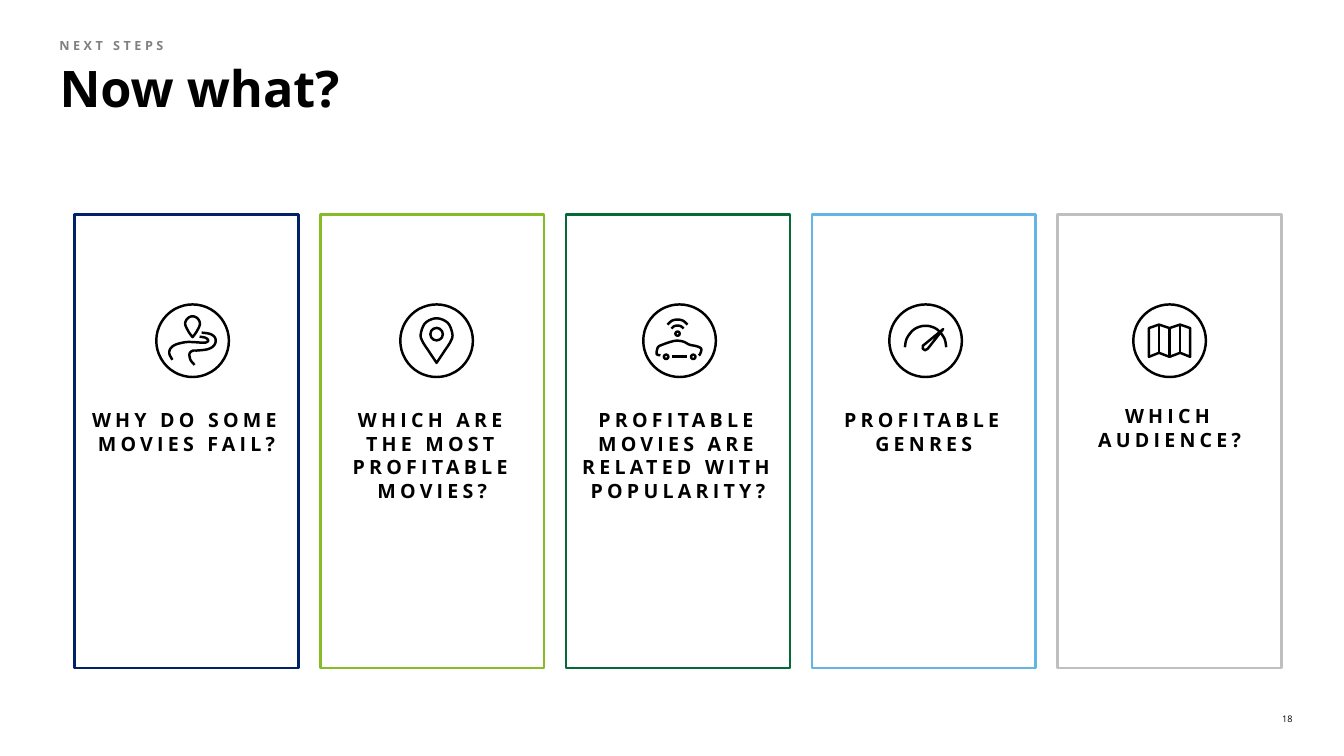
from dataclasses import dataclass

from lxml import etree
from pptx import Presentation
from pptx.dml.color import RGBColor
from pptx.enum import shapes, text
from pptx.oxml import ns
from pptx.util import Inches, Pt


@dataclass(frozen=True)
class Theme:
    font: str = "Open Sans"
    ink: str = "000000"
    muted: str = "808080"
    navy: str = "012169"
    lime: str = "86BC25"
    green: str = "046A38"
    sky: str = "62B5E5"
    silver: str = "BFBFBF"
    title: float = 36
    card: float = 14
    eyebrow: float = 9
    number: float = 6.5
    line: float = 1.75


THEME = Theme()
CARD_LEFT, CARD_TOP, CARD_WIDTH, CARD_HEIGHT = 0.74, 2.13, 2.22, 4.5
CARD_PITCH = (10.49 - CARD_LEFT) / 4
ICON_Y, ICON_RADIUS = 3.38, 0.36


def mirror(half):
    """Complete a left-right symmetric outline whose last point is on the axis."""
    return half + [(-x, y) for x, y in reversed(half[:-1])]


# Icon points are hundredths of an inch from the icon's centre.
# "dots" are (x, y, radius); "curves" are smoothed; "lines" stay straight.
ROAD = {
    "curves": [
        mirror([(0, -3.5), (4, -9), (7.3, -16.5), (5, -22), (0, -24.2)]),
        [(7, -4), (13, -2.8), (15.5, 0), (12, 2), (2, 1.5), (-7, 1.5),
         (-17, 4), (-22, 8), (-23, 13), (-20, 19)],
        [(9, -8), (17, -6.8), (22, -3.5), (22.8, 1.5), (20, 6), (14, 8.7),
         (5, 9.7), (0, 10), (-3, 13), (-2, 19), (2, 24)],
    ],
}
PIN = {
    "dots": [(0, -6.5, 6.2)],
    "curves": [mirror([(0, 22), (7, 11.5), (13.8, 1), (15.7, -6.5),
                       (11.1, -17.6), (0, -22.2)])],
}
CAR = {
    "dots": [(-13.3, 16, 2.2), (13.6, 16, 2.2), (-2, -7, 2.1)],
    "curves": [
        [(-12, -16), (-7.5, -19.8), (-2, -21), (3.5, -19.8), (8, -16)],
        [(-8, -12), (-5.5, -14.2), (-2, -15), (1.5, -14.2), (4, -12)],
        [(-19, 14.5), (-22.5, 13.5), (-22.5, 10), (-21, 6), (-17, 4),
         (-10, 1.5), (-3, 0), (4, 1), (10, 4), (17, 5.5), (21.5, 8),
         (20.5, 13), (19, 14.5)],
    ],
    "lines": [[(-7.5, 15.5), (7.5, 15.5)]],
}
GAUGE = {
    "curves": [mirror([(-20.5, 6.5), (-18.5, -2.5), (-11, -11.5), (0, -14.8)])],
    "lines": [[(17.5, -11.5), (2.2, 8), (-0.5, 9.5), (-2.8, 8), (-2.6, 5),
               (17.5, -11.5)]],
}
MAP = {
    "lines": [
        [(-20.5, -12.5), (-10.5, -16), (0, -12.5), (10.5, -16), (20.5, -12.5),
         (20.5, 16), (10.5, 12), (0, 16), (-10.5, 12), (-20.5, 16),
         (-20.5, -12.5)],
        [(-10.5, -16), (-10.5, 12)],
        [(0, -12.5), (0, 16)],
        [(10.5, -16), (10.5, 12)],
    ],
}

# Colour, question, icon, icon centre, text inset from the card's top
CARDS = [
    (THEME.navy, "WHY DO SOME MOVIES FAIL?", ROAD, 1.91, 1.92),
    (THEME.lime, "WHICH ARE THE MOST PROFITABLE MOVIES?", PIN, 4.33, 1.92),
    (THEME.green, "PROFITABLE MOVIES ARE RELATED WITH POPULARITY?", CAR, 6.74, 1.92),
    (THEME.sky, "PROFITABLE GENRES", GAUGE, 9.18, 1.92),
    (THEME.silver, "WHICH AUDIENCE?", MAP, 11.6, 1.88),
]


def outline(sp, color):
    sp.line.color.rgb = RGBColor.from_string(color)
    sp.line.width = Pt(THEME.line)


def hollow(sp, color):
    sp.shadow.inherit = False
    sp.fill.background()
    outline(sp, color)


def write(sp, words, size, color=THEME.ink, bold=True, align=text.PP_ALIGN.LEFT,
          anchor=text.MSO_ANCHOR.TOP, insets=(0, 0, 0, 0), spacing=0):
    """Fill a shape with one paragraph; spacing is between letters, in points."""
    tf = sp.text_frame
    tf.word_wrap = True
    tf.vertical_anchor = anchor
    tf.margin_left, tf.margin_top, tf.margin_right, tf.margin_bottom = map(Inches, insets)
    p = tf.paragraphs[0]
    p.alignment = align
    r = p.add_run()
    r.text = words
    p.font.name, p.font.size, p.font.bold = THEME.font, Pt(size), bold
    p.font.color.rgb = RGBColor.from_string(color)
    if spacing:
        r._r.get_or_add_rPr().set("spc", str(int(spacing * 100)))
    return p


def add_label(slide, box, words, size, **style):
    return write(slide.shapes.add_textbox(*map(Inches, box)), words, size, **style)


def smooth(points, steps=8):
    """Sample a Catmull-Rom curve that passes through the points."""
    ends = [points[0], *points, points[-1]]
    curve = [points[0]]
    for a, b, c, d in zip(ends, ends[1:], ends[2:], ends[3:]):
        for t in (i / steps for i in range(1, steps + 1)):
            curve.append(tuple(
                (2 * q + (r - p) * t + (2 * p - 5 * q + 4 * r - s) * t ** 2
                 + (3 * q - p - 3 * r + s) * t ** 3) / 2
                for p, q, r, s in zip(a, b, c, d)))
    return curve


def add_circle(group, x, y, radius):
    sp = group.shapes.add_shape(shapes.MSO_SHAPE.OVAL, Inches(x - radius), Inches(y - radius),
                                Inches(2 * radius), Inches(2 * radius))
    hollow(sp, THEME.ink)


def add_stroke(group, points):
    """Draw a connector for two points, a freeform for more."""
    points = [(Inches(x), Inches(y)) for x, y in points]
    if len(points) == 2:
        line = group.shapes.add_connector(shapes.MSO_CONNECTOR.STRAIGHT, *points[0], *points[1])
        outline(line, THEME.ink)
        etree.SubElement(line._element.spPr, ns.qn("a:effectLst"))
        return
    closed = points[0] == points[-1]
    builder = group.shapes.build_freeform(*points[0])
    builder.add_line_segments(points[1:], close=closed)
    hollow(builder.convert_to_shape(), THEME.ink)


def add_icon(slide, icon, center_x):
    def place(points):
        return [(center_x + x / 100, ICON_Y + y / 100) for x, y in points]

    group = slide.shapes.add_group_shape()
    add_circle(group, center_x, ICON_Y, ICON_RADIUS)
    for x, y, radius in icon.get("dots", []):
        add_circle(group, *place([(x, y)])[0], radius / 100)
    for points in icon.get("curves", []):
        add_stroke(group, place(smooth(points)))
    for points in icon.get("lines", []):
        add_stroke(group, place(points))


def add_card(slide, left, color, question, text_top):
    sp = slide.shapes.add_shape(shapes.MSO_SHAPE.RECTANGLE, Inches(left), Inches(CARD_TOP),
                                Inches(CARD_WIDTH), Inches(CARD_HEIGHT))
    hollow(sp, color)
    write(sp, question, THEME.card, align=text.PP_ALIGN.CENTER,
          insets=(0.1, text_top, 0.1, 0), spacing=3)


def add_title(slide, words):
    title = slide.shapes.title
    title.left, title.top, title.width, title.height = map(Inches, (0.59, 0.61, 12.31, 0.55))
    p = write(title, words, THEME.title, anchor=text.MSO_ANCHOR.BOTTOM)
    p.line_spacing = 0.8


def main():
    prs = Presentation()
    prs.slide_width, prs.slide_height = Inches(13.33), Inches(7.5)
    slide = prs.slides.add_slide(prs.slide_layouts[5])
    add_title(slide, "Now what?")
    add_label(slide, (0.59, 0.38, 5.14, 0.19), "NEXT STEPS", THEME.eyebrow,
              color=THEME.muted, spacing=2.5)
    for i, (color, question, icon, icon_x, text_top) in enumerate(CARDS):
        add_card(slide, CARD_LEFT + i * CARD_PITCH, color, question, text_top)
        add_icon(slide, icon, icon_x)
    add_label(slide, (12.48, 7.08, 0.34, 0.11), "18", THEME.number, bold=False,
              align=text.PP_ALIGN.RIGHT)
    prs.save("out.pptx")


if __name__ == "__main__":
    main()
